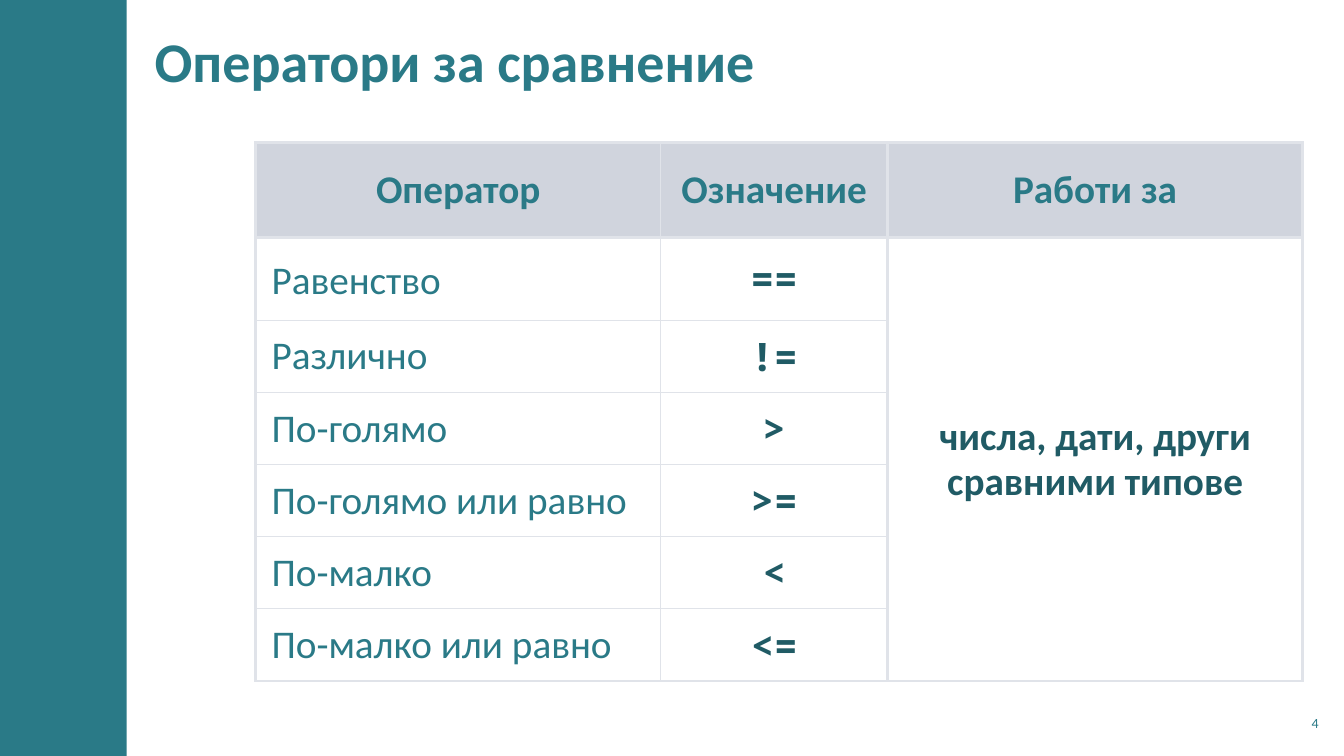
from lxml.etree import SubElement
from pptx import Presentation
from pptx.dml.color import RGBColor
from pptx.enum.shapes import MSO_SHAPE
from pptx.enum.text import MSO_ANCHOR, MSO_AUTO_SIZE, PP_ALIGN
from pptx.oxml.ns import qn
from pptx.util import Pt

TEAL, DARK_TEAL, HEADER, BORDER = "2A7A87", "205B65", "A3ABBC", "E0E3E9"
THICK, THIN = 2.25, 1
COLUMN_WIDTHS = (289.5, 162, 296.5)
ROW_HEIGHTS = (67.5, 59.3) + (51.55,) * 5
VERTICAL_EDGES = (THICK, THIN, THICK, THICK)
HORIZONTAL_EDGES = (THICK, THICK) + (THIN,) * 6
HEADINGS = ("Оператор", "Означение", "Работи за")
OPERATORS = (
    ("Равенство", "=="),
    ("Различно", "!="),
    ("По-голямо", ">"),
    ("По-голямо или равно", ">="),
    ("По-малко", "<"),
    ("По-малко или равно", "<="),
)
COMPARABLE_TYPES = "числа, дати, други сравними типове"


def color(target, hex_value):
    target.rgb = RGBColor.from_string(hex_value)


def apply(target, formats):
    for name, value in formats.items():
        setattr(target, name, value)


def margins(horizontal, vertical):
    return {"margin_left": Pt(horizontal), "margin_right": Pt(horizontal),
            "margin_top": Pt(vertical), "margin_bottom": Pt(vertical)}


def write(text_frame, text, hex_value, font, paragraph_formats):
    paragraph = text_frame.paragraphs[0]
    apply(paragraph, paragraph_formats)
    run = paragraph.add_run()
    run.text = text
    apply(run.font, {"name": "Calibri", **font})
    color(run.font.color, hex_value)


def place(shape, box):
    apply(shape, dict(zip(("left", "top", "width", "height"), map(Pt, box))))


def add_sidebar(slide, box):
    sidebar = slide.shapes.add_shape(MSO_SHAPE.RECTANGLE, *map(Pt, box))
    sidebar.shadow.inherit = False
    sidebar.fill.solid()
    color(sidebar.fill.fore_color, TEAL)
    sidebar.line.fill.background()


def add_title(slide, box, text):
    title = slide.shapes.title
    place(title, box)
    apply(title.text_frame, {"word_wrap": True, "auto_size": MSO_AUTO_SIZE.NONE,
                             "vertical_anchor": MSO_ANCHOR.MIDDLE, **margins(8.5, 3)})
    write(title.text_frame, text, TEAL, {"size": Pt(40), "bold": True},
          {"alignment": PP_ALIGN.LEFT})


def add_page_number(slide, box, number):
    text_frame = slide.shapes.add_textbox(*map(Pt, box)).text_frame
    apply(text_frame, {"word_wrap": True, "vertical_anchor": MSO_ANCHOR.MIDDLE,
                       **margins(3, 3)})
    write(text_frame, number, TEAL, {"size": Pt(10)}, {"alignment": PP_ALIGN.RIGHT})


def set_borders(cell, row, column):
    properties = cell._tc.get_or_add_tcPr()
    weights = {"a:lnL": VERTICAL_EDGES[column], "a:lnR": VERTICAL_EDGES[column + 1],
               "a:lnT": HORIZONTAL_EDGES[row], "a:lnB": HORIZONTAL_EDGES[row + 1]}
    for tag, weight in weights.items():
        line = SubElement(properties, qn(tag), w=str(int(Pt(weight))))
        SubElement(SubElement(line, qn("a:solidFill")), qn("a:srgbClr"), val=BORDER)


def set_fill(cell, row):
    if row:
        cell.fill.background()
        return
    cell.fill.solid()
    color(cell.fill.fore_color, HEADER)
    fill_color = cell._tc.tcPr.find(".//" + qn("a:solidFill") + "[last()]/..")
    fill_color = cell._tc.tcPr.find(qn("a:solidFill")).find(qn("a:srgbClr"))
    SubElement(fill_color, qn("a:alpha"), val="50000")


def write_cell(cell, text, hex_value=DARK_TEAL, bold=True, font_name="Calibri",
               alignment=PP_ALIGN.CENTER, **spacing):
    write(cell.text_frame, text, hex_value,
          {"name": font_name, "size": Pt(28), "bold": bold},
          {"alignment": alignment, "line_spacing": 0.95, **spacing})


def add_operator_table(slide, left, top):
    box = (left, top, sum(COLUMN_WIDTHS), sum(ROW_HEIGHTS))
    table = slide.shapes.add_table(len(ROW_HEIGHTS), len(COLUMN_WIDTHS),
                                   *map(Pt, box)).table
    apply(table, {"first_row": False, "horz_banding": False})
    for column, width in zip(table.columns, COLUMN_WIDTHS):
        column.width = Pt(width)
    for row, height in zip(table.rows, ROW_HEIGHTS):
        row.height = Pt(height)
    for index, cell in enumerate(table.iter_cells()):
        row, column = divmod(index, len(COLUMN_WIDTHS))
        apply(cell, {"vertical_anchor": MSO_ANCHOR.MIDDLE, **margins(11.5, 3.6)})
        set_borders(cell, row, column)
        set_fill(cell, row)

    for column, heading in enumerate(HEADINGS):
        write_cell(table.cell(0, column), heading, TEAL)
    for row, (name, symbol) in enumerate(OPERATORS, 1):
        spacing = {"line_spacing": Pt(38), "space_before": Pt(6),
                   "space_after": Pt(6)} if row == 1 else {}
        formats = {"alignment": PP_ALIGN.LEFT, "line_spacing": 0.95, **spacing}
        write(table.cell(row, 0).text_frame, name, TEAL,
              {"size": Pt(28), "bold": False}, formats)
        write_cell(table.cell(row, 1), symbol, font_name="Noto Sans Mono")
    table.cell(1, 2).merge(table.cell(len(OPERATORS), 2))
    write_cell(table.cell(1, 2), COMPARABLE_TYPES)


def build_comparison_slide(presentation):
    slide = presentation.slides.add_slide(presentation.slide_layouts[5])
    add_sidebar(slide, (0, 0, 90.5, 540))
    add_title(slide, (102, 8, 661, 70), "Оператори за сравнение")
    add_operator_table(slide, 182.5, 102)
    add_page_number(slide, (911, 504, 34, 24.5), "4")


presentation = Presentation()
apply(presentation, {"slide_width": Pt(960), "slide_height": Pt(540)})
build_comparison_slide(presentation)
presentation.save("out.pptx")
